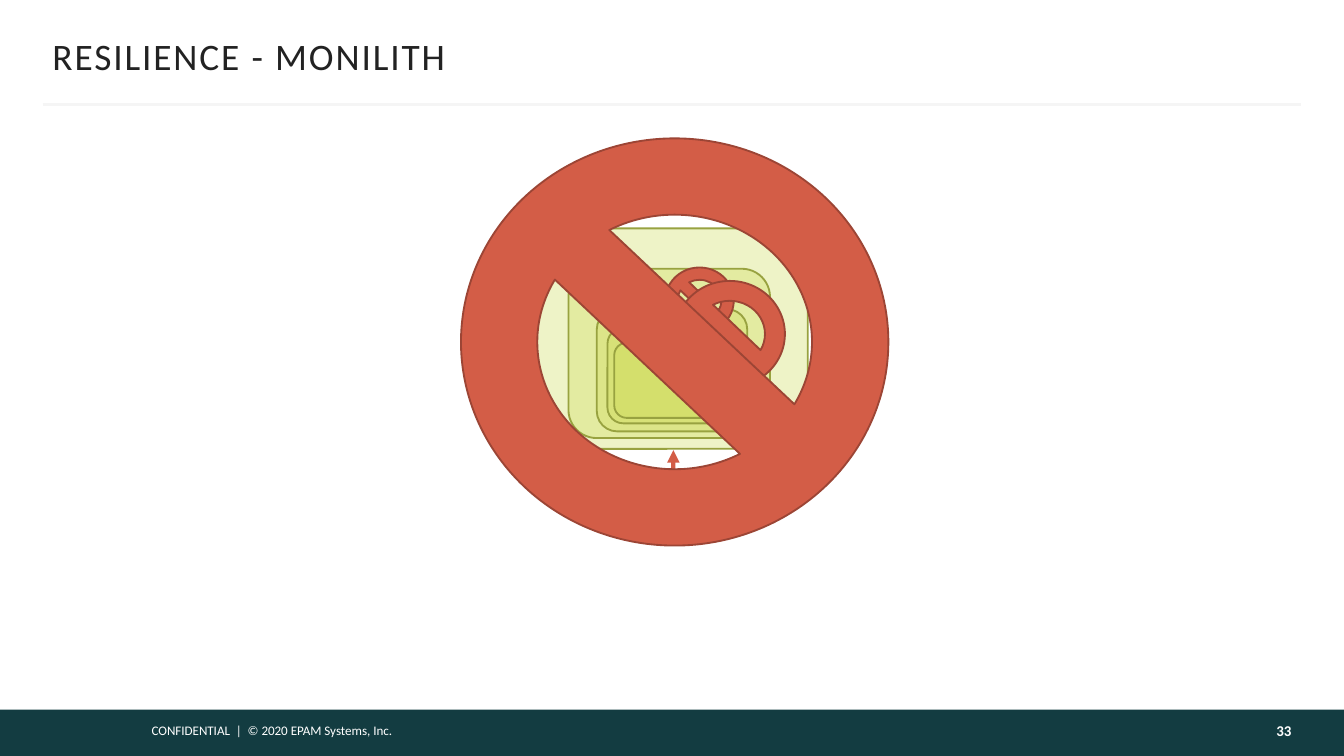
from dataclasses import dataclass

from pptx import Presentation
from pptx.dml.color import RGBColor
from pptx.enum.shapes import MSO_CONNECTOR, MSO_SHAPE
from pptx.enum.text import MSO_ANCHOR, PP_ALIGN
from pptx.oxml.ns import qn
from pptx.util import Inches, Pt
from lxml import etree

RECT = MSO_SHAPE.RECTANGLE
ROUND = MSO_SHAPE.ROUNDED_RECTANGLE
BAN = MSO_SHAPE.NO_SYMBOL
LINE = MSO_CONNECTOR.STRAIGHT
CURVE = MSO_CONNECTOR.CURVE
MID = MSO_ANCHOR.MIDDLE
TOP = MSO_ANCHOR.TOP
LEFT = PP_ALIGN.LEFT
RIGHT = PP_ALIGN.RIGHT


@dataclass(frozen=True)
class Theme:
    font: str = "Calibri"
    bar: str = "133C41"
    white: str = "FFFFFF"
    page: str = "FEFEFE"
    rule: str = "F5F5F5"
    ink: str = "222222"
    lime: str = "CEDB56"
    olive: str = "98A240"
    red: str = "D35D47"
    rust: str = "9C4535"
    title: int = 20
    number: int = 8
    note: int = 7


THEME = Theme()

LAYERS = [
    (3.99, 1.7, 2.02, 1.64),
    (4.23, 2, 1.5, 1.26),
    (4.44, 2.3, 1.12, 0.91),
    (4.52, 2.44, 0.94, 0.71),
    (4.57, 2.55, 0.82, 0.56),
]
BANS = [
    (4.95, 1.99, 0.51, 0.49),
    (5.02, 2.09, 0.82, 0.79),
    (3.43, 1.03, 3.18, 3.03),
]


def rgb(code):
    return RGBColor.from_string(code)


def add_text(slide, text, box, size, color, bold=False, align=LEFT,
             anchor=TOP, inset=(0.1, 0.05, 0.1, 0.05), gap=0):
    frame = slide.shapes.add_textbox(*map(Inches, box)).text_frame
    frame.word_wrap = True
    frame.vertical_anchor = anchor
    (frame.margin_left, frame.margin_top,
     frame.margin_right, frame.margin_bottom) = map(Inches, inset)
    para = frame.paragraphs[0]
    para.alignment = align
    run = para.add_run()
    run.text = text
    font = run.font
    font.name, font.size, font.bold = THEME.font, Pt(size), bold
    font.color.rgb = rgb(color)
    if gap:
        run._r.get_or_add_rPr().set("spc", str(gap * 100))


def add_shape(slide, kind, box, fill, edge=None, alpha=None):
    shape = slide.shapes.add_shape(kind, *map(Inches, box))
    shape.shadow.inherit = False
    shape.fill.solid()
    shape.fill.fore_color.rgb = rgb(fill)
    if alpha:
        tint = shape._element.spPr.find(qn("a:solidFill"))[0]
        etree.SubElement(tint, qn("a:alpha")).set("val", str(alpha * 1000))
    if edge:
        shape.line.color.rgb = rgb(edge)
        shape.line.width = Pt(1)
    else:
        shape.line.fill.background()


def add_line(slide, kind, ends, color, width, turn=0, heads=False):
    line = slide.shapes.add_connector(kind, *map(Inches, ends))
    line.line.color.rgb = rgb(color)
    line.line.width = Pt(width)
    props = line._element.spPr
    if turn:
        props.find(qn("a:xfrm")).set("rot", str(turn * 60000))
    if heads:
        stroke = props.find(qn("a:ln"))
        for tag in ("a:headEnd", "a:tailEnd"):
            etree.SubElement(stroke, qn(tag)).set("type", "triangle")
    etree.SubElement(props, qn("a:effectLst"))


def add_frame(slide):
    add_shape(slide, RECT, (0, 5.28, 10, 0.35), THEME.bar)
    add_text(slide, "CONFIDENTIAL  |  © 2020 EPAM Systems, Inc.",
             (1.03, 5.33, 2.65, 0.22), THEME.note, THEME.white)
    add_line(slide, LINE, (0.32, 0.78, 9.68, 0.78), THEME.rule, 1.5)
    add_text(slide, "RESILIENCE - MONILITH", (0.39, 0.25, 9.22, 0.33),
             THEME.title, THEME.ink, anchor=MID,
             inset=(0, 0.05, 0, 0.05), gap=1)
    add_text(slide, "33", (8.11, 5.28, 1.5, 0.35), THEME.number, THEME.page,
             bold=True, align=RIGHT, anchor=MID, inset=(0.1, 0.05, 0, 0.09))


def main():
    deck = Presentation()
    deck.slide_width = Inches(10)
    deck.slide_height = Inches(10 * 9 / 16)
    slide = deck.slides.add_slide(deck.slide_layouts[6])
    add_frame(slide)
    for box in LAYERS:
        add_shape(slide, ROUND, box, THEME.lime, THEME.olive, alpha=33)
    add_line(slide, CURVE, (5.33, 3.68, 4.68, 3.67), THEME.red, 2.25,
             turn=90, heads=True)
    for box in BANS:
        add_shape(slide, BAN, box, THEME.red, THEME.rust)
    deck.save("out.pptx")


if __name__ == "__main__":
    main()
